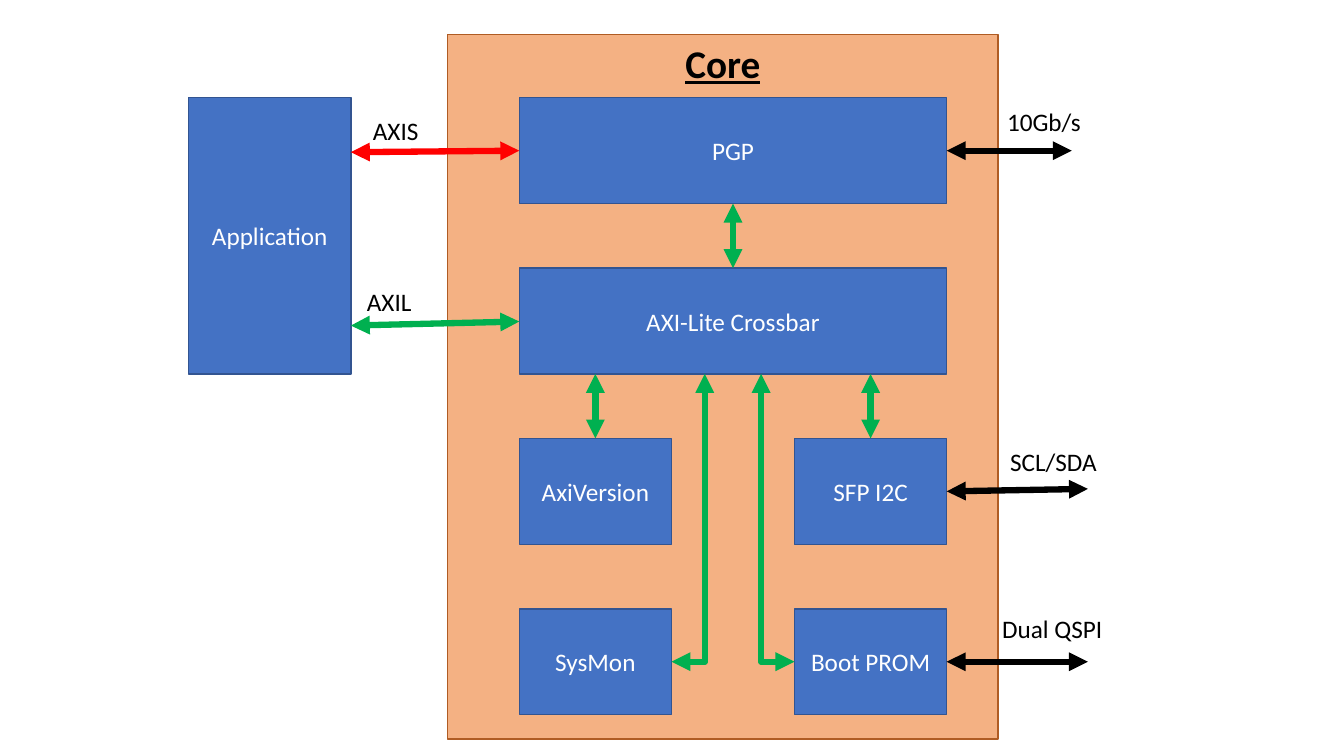
from dataclasses import dataclass

from pptx import Presentation
from pptx.dml.color import RGBColor
from pptx.enum.shapes import MSO_CONNECTOR, MSO_SHAPE
from pptx.enum.text import MSO_ANCHOR, MSO_AUTO_SIZE, PP_ALIGN
from pptx.oxml.ns import qn
from pptx.oxml.xmlchemy import OxmlElement
from pptx.util import Inches, Pt


@dataclass(frozen=True)
class Theme:
    font: str = "Calibri"
    heading_size: int = 28
    label_size: int = 18
    outline: int = 1
    bus: float = 4.5
    panel: str = "F4B183"
    panel_edge: str = "AF5C24"
    block: str = "4472C4"
    block_edge: str = "325491"
    light: str = "FFFFFF"
    dark: str = "000000"
    stream: str = "FF0000"
    lite: str = "00B050"


THEME = Theme()


def rgb(code):
    return RGBColor.from_string(code)


def write(frame, wording, size, color, align, anchor):
    frame.text = wording
    frame.vertical_anchor = anchor
    paragraph = frame.paragraphs[0]
    paragraph.alignment = align
    font = paragraph.runs[0].font
    font.name = THEME.font
    font.size = Pt(size)
    font.color.rgb = rgb(color)
    return font


def paint(area, fill, edge):
    area.fill.solid()
    area.fill.fore_color.rgb = rgb(fill)
    area.line.color.rgb = rgb(edge)
    area.line.width = Pt(THEME.outline)


def add_core(slide, left, top, width, height):
    core = slide.shapes.title
    core.left, core.top = Inches(left), Inches(top)
    core.width, core.height = Inches(width), Inches(height)
    paint(core, THEME.panel, THEME.panel_edge)
    font = write(core.text_frame, "Core", THEME.heading_size, THEME.dark,
                 PP_ALIGN.CENTER, MSO_ANCHOR.TOP)
    font.bold = font.underline = True
    core.text_frame.auto_size = MSO_AUTO_SIZE.NONE


def add_block(slide, name, left, top, width, height):
    block = slide.shapes.add_shape(MSO_SHAPE.RECTANGLE, Inches(left), Inches(top),
                                   Inches(width), Inches(height))
    block.shadow.inherit = False
    paint(block, THEME.block, THEME.block_edge)
    write(block.text_frame, name, THEME.label_size, THEME.light,
          PP_ALIGN.CENTER, MSO_ANCHOR.MIDDLE)


def add_label(slide, wording, left, top, width):
    label = slide.shapes.add_textbox(Inches(left), Inches(top), Inches(width), Inches(0.4))
    write(label.text_frame, wording, THEME.label_size, THEME.dark,
          PP_ALIGN.LEFT, MSO_ANCHOR.TOP)
    label.text_frame.word_wrap = False
    label.text_frame.auto_size = MSO_AUTO_SIZE.SHAPE_TO_FIT_TEXT


def add_bus(slide, color, start, end, bent=False):
    kind = MSO_CONNECTOR.ELBOW if bent else MSO_CONNECTOR.STRAIGHT
    bus = slide.shapes.add_connector(kind, *map(Inches, start + end))
    bus.line.color.rgb = rgb(color)
    bus.line.width = Pt(THEME.bus)
    properties = bus._element.spPr
    if bent:
        properties.find(qn("a:prstGeom")).set("prst", "bentConnector2")
    for tag in ("a:headEnd", "a:tailEnd"):
        arrowhead = OxmlElement(tag)
        arrowhead.set("type", "triangle")
        properties.find(qn("a:ln")).append(arrowhead)
    properties.append(OxmlElement("a:effectLst"))


def main():
    deck = Presentation()
    deck.slide_width, deck.slide_height = Inches(13.33), Inches(7.5)
    slide = deck.slides.add_slide(deck.slide_layouts[5])

    left, right, wide, narrow, height = 5.15, 9.39, 4.24, 1.51, 1.05
    right_column = right - narrow
    pgp, crossbar, upper, lower = [0.97 + 1.69 * row for row in range(4)]
    crossbar_bottom = crossbar + height
    lower_middle = lower + height / 2
    pgp_middle = pgp + height / 2
    app_left, app_width = 1.87, 1.61
    app_right = app_left + app_width

    add_core(slide, 4.44, 0.34, 5.46, 6.99)
    add_block(slide, "Application", app_left, pgp, app_width, crossbar_bottom - pgp)
    for name, x, y, width in (
        ("PGP", left, pgp, wide),
        ("AXI-Lite Crossbar", left, crossbar, wide),
        ("AxiVersion", left, upper, narrow),
        ("SysMon", left, lower, narrow),
        ("SFP I2C", right_column, upper, narrow),
        ("Boot PROM", right_column, lower, narrow),
    ):
        add_block(slide, name, x, y, width, height)

    add_bus(slide, THEME.stream, (app_right, 1.51), (left, pgp_middle))
    add_bus(slide, THEME.lite, (left, 3.19), (app_right, 3.23))
    center = left + wide / 2
    add_bus(slide, THEME.lite, (center, pgp + height), (center, crossbar))
    for column in (left, right_column):
        middle = column + narrow / 2
        add_bus(slide, THEME.lite, (middle, crossbar_bottom), (middle, upper))
    for side, turn in ((left + narrow, 6.99), (right_column, 7.55)):
        add_bus(slide, THEME.lite, (side, lower_middle), (turn, crossbar_bottom), bent=True)
    for start, y in (
        ((10.63, pgp_middle), pgp_middle),
        ((10.79, 4.85), upper + height / 2),
        ((10.79, lower_middle), lower_middle),
    ):
        add_bus(slide, THEME.dark, start, (right, y))

    for wording, x, y, width in (
        ("AXIS", 3.6, 1.09, 0.66),
        ("AXIL", 3.54, 2.79, 0.65),
        ("10Gb/s", 9.89, 1.01, 0.94),
        ("SCL/SDA", 9.92, 4.38, 1.07),
        ("Dual QSPI", 9.84, 6.04, 1.21),
    ):
        add_label(slide, wording, x, y, width)

    deck.save("out.pptx")


main()
